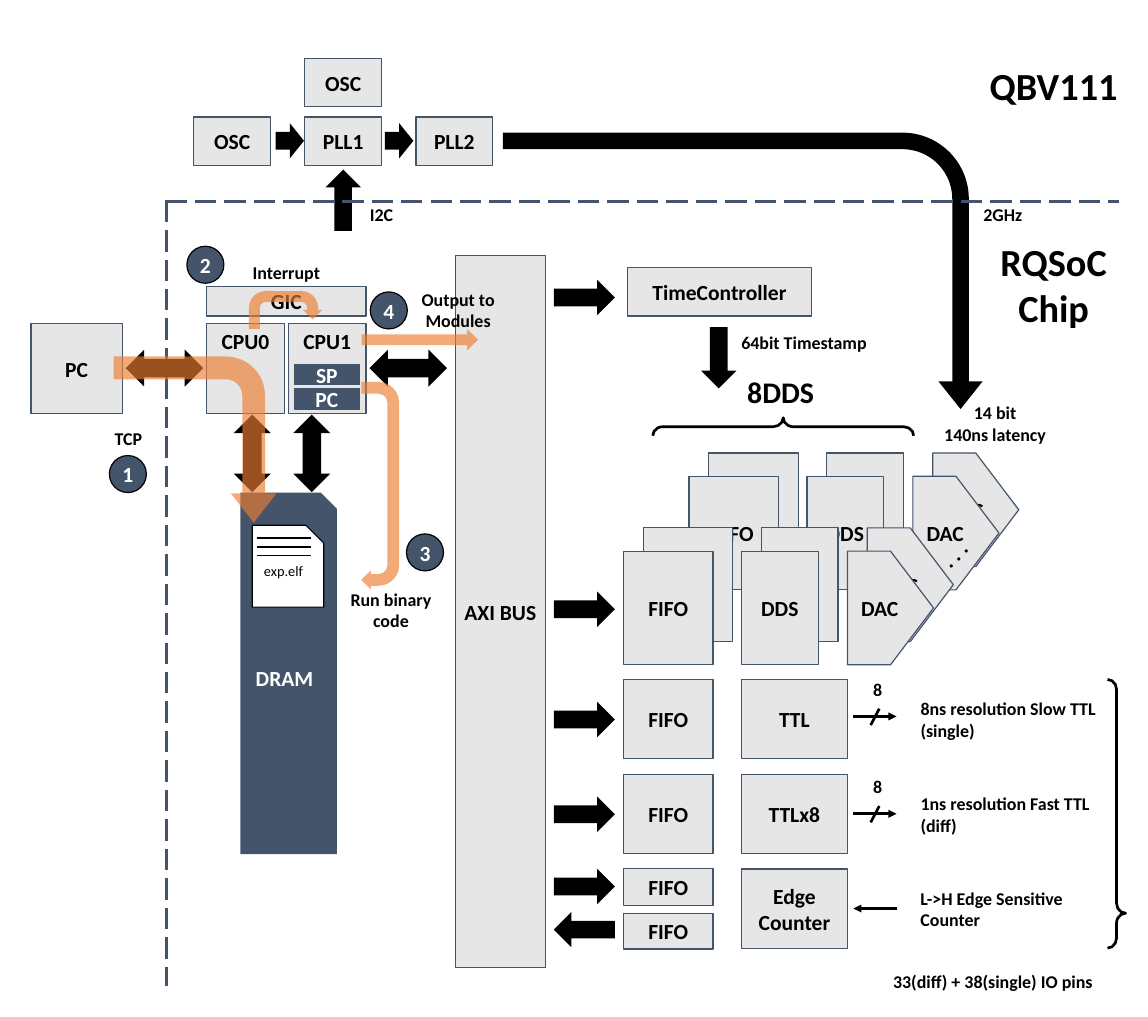
from dataclasses import dataclass
from typing import Optional

from pptx import Presentation, util as u
from pptx.dml.color import RGBColor
from pptx.enum import dml, shapes, text
from pptx.oxml import ns, parse_xml

G = shapes.MSO_SHAPE
ALIGN = text.PP_ALIGN
ANCHOR = text.MSO_ANCHOR


@dataclass(frozen=True)
class Theme:
    font: str = "Calibri"
    ink: str = "000000"
    paper: str = "FFFFFF"
    pale: str = "E7E6E6"
    navy: str = "44546A"
    flow: str = "ED7D31"
    flow_alpha: int = 65000
    file: float = 12
    note: float = 15
    block: float = 18
    heading: float = 25
    title: float = 32
    outline: float = 1
    rule: float = 1.25
    stroke: float = 2.25


THEME = Theme()


@dataclass(frozen=True)
class Block:
    x: float
    y: float
    w: float
    h: float
    label: str = ""
    kind: G = G.RECTANGLE
    fill: Optional[str] = THEME.pale
    line: Optional[str] = THEME.navy
    weight: float = THEME.outline
    color: str = THEME.ink
    size: float = THEME.block
    bold: bool = True
    anchor: ANCHOR = ANCHOR.MIDDLE
    adj: tuple[float, ...] = ()
    turn: float = 0
    see_through: bool = False


@dataclass(frozen=True)
class Note:
    x: float
    y: float
    w: float
    h: float
    label: str
    align: ALIGN = ALIGN.CENTER
    size: float = THEME.note
    turn: float = 0
    anchor: ANCHOR = ANCHOR.MIDDLE


@dataclass(frozen=True)
class Wire:
    x1: float
    y1: float
    x2: float
    y2: float
    color: str = THEME.ink
    weight: float = THEME.stroke
    dashed: bool = False
    arrow: bool = False


def write(frame, label: str, size: float, color: str, align: ALIGN, anchor: ANCHOR, bold: bool = True) -> None:
    frame.text = label
    frame.word_wrap = True
    frame.vertical_anchor = anchor
    for paragraph in frame.paragraphs:
        paragraph.alignment = align
        for run in paragraph.runs:
            run.font.name, run.font.size, run.font.bold = THEME.font, u.Pt(size), bold
            run.font.color.rgb = RGBColor.from_string(color)


def place(shape, part) -> None:
    shape.left, shape.top, shape.width, shape.height = map(u.Inches, (part.x, part.y, part.w, part.h))
    shape.rotation = part.turn


def draw_block(canvas, block: Block) -> None:
    shape = canvas.add_shape(block.kind, 0, 0, 0, 0)
    place(shape, block)
    shape.shadow.inherit = False
    for index, value in enumerate(block.adj):
        shape.adjustments[index] = value
    if block.fill:
        shape.fill.solid()
        shape.fill.fore_color.rgb = RGBColor.from_string(block.fill)
    else:
        shape.fill.background()
    if block.see_through:
        tint = shape._element.spPr.find(".//" + ns.qn("a:srgbClr"))
        tint.append(parse_xml(f'<a:alpha {ns.nsdecls("a")} val="{THEME.flow_alpha}"/>'))
    if block.line:
        shape.line.color.rgb = RGBColor.from_string(block.line)
        shape.line.width = u.Pt(block.weight)
    else:
        shape.line.fill.background()
    if block.label:
        shape.text_frame.margin_left = shape.text_frame.margin_right = u.Inches(0)
        write(shape.text_frame, block.label, block.size, block.color, ALIGN.CENTER, block.anchor, block.bold)


def draw_note(canvas, note: Note) -> None:
    box = canvas.add_textbox(0, 0, 0, 0)
    place(box, note)
    write(box.text_frame, note.label, note.size, THEME.ink, note.align, note.anchor)


def draw_wire(canvas, wire: Wire) -> None:
    ends = map(u.Inches, (wire.x1, wire.y1, wire.x2, wire.y2))
    connector = canvas.add_connector(shapes.MSO_CONNECTOR.STRAIGHT, *ends)
    connector.line.color.rgb = RGBColor.from_string(wire.color)
    connector.line.width = u.Pt(wire.weight)
    if wire.dashed:
        connector.line.dash_style = dml.MSO_LINE.LONG_DASH
    properties = connector._element.spPr
    if wire.arrow:
        outline = properties.find(ns.qn("a:ln"))
        outline.append(parse_xml(f'<a:tailEnd {ns.nsdecls("a")} type="triangle"/>'))
    properties.append(parse_xml(f'<a:effectLst {ns.nsdecls("a")}/>'))


def draw(canvas, parts: list) -> None:
    painters = {Block: draw_block, Note: draw_note, Wire: draw_wire}
    for part in parts:
        painters[type(part)](canvas, part)


def arrow(x: float, y: float, w: float = 0.71, h: float = 0.41, turn: float = 0, kind: G = G.RIGHT_ARROW,
          adj: tuple[float, ...] = ()) -> Block:
    return Block(x, y, w, h, kind=kind, fill=THEME.ink, line=None, turn=turn, adj=adj)


def link(x: float, y: float, turn: float = 0) -> Block:
    return arrow(x, y, 0.9, 0.43, turn, G.LEFT_RIGHT_ARROW)


def flow(x: float, y: float, w: float, h: float, kind: G, adj: tuple[float, ...] = (), turn: float = 0) -> Block:
    return Block(x, y, w, h, kind=kind, fill=THEME.flow, line=None, adj=adj, turn=turn, see_through=True)


def step(number: int, x: float, y: float) -> Block:
    return Block(x, y, 0.43, 0.43, str(number), G.OVAL, THEME.navy, THEME.ink, color=THEME.paper)


def brace(x: float, y: float, h: float, middle: float, turn: float = 0) -> Block:
    return Block(x, y, 0.21, h, kind=G.RIGHT_BRACE, fill=None, line=THEME.ink, weight=THEME.stroke,
                 adj=(0.55, middle), turn=turn)


def register(label: str, y: float) -> Block:
    return Block(3.42, y, 0.75, 0.24, label, fill=THEME.navy, color=THEME.paper)


def channel_stack(x: float, w: float, labels: tuple[str, ...], kind: G = G.RECTANGLE) -> list[Block]:
    layers = ((0.99, -1.14), (0.76, -0.87), (0.23, -0.27), (0, 0))
    return [Block(x + dx, 6.4 + dy, w, 1.32, label, kind) for (dx, dy), label in zip(layers, labels)]


def ttl_row(y: float, label: str, note: str, wire_y: float) -> list:
    return [
        Block(7.24, y, 1.04, 0.92, "FIFO"),
        Block(8.61, y, 1.23, 0.92, label),
        arrow(6.43, y + 0.26),
        Note(10.59, y + 0.19, 2.82, 0.55, note, ALIGN.LEFT),
        Wire(10.11, wire_y + 0.1, 10.21, wire_y - 0.09),
        Note(10.04, wire_y - 0.48, 0.22, 0.32, "8"),
        Wire(9.91, wire_y, 10.41, wire_y, arrow=True),
    ]


def main() -> None:
    deck = Presentation()
    deck.slide_width, deck.slide_height = u.Inches(13.33), u.Inches(11.81)
    slide = deck.slides.add_slide(deck.slide_layouts[5])
    canvas = slide.shapes
    board = Note(11.06, 0.62, 2.35, 0.74, "QBV111", size=THEME.title)
    place(canvas.title, board)
    write(canvas.title.text_frame, board.label, board.size, THEME.ink, board.align, board.anchor)
    canvas.title.text_frame.auto_size = text.MSO_AUTO_SIZE.NONE

    draw(canvas, [
        *channel_stack(7.24, 1.04, ("", "FIFO", "", "FIFO")),
        *channel_stack(8.61, 0.89, ("DDS",) * 4),
        *channel_stack(9.84, 1, ("DAC",) * 4, G.PENTAGON),
        Note(10.81, 6.21, 0.58, 0.4, ". . .", ALIGN.LEFT, THEME.block, 315, ANCHOR.TOP),
        brace(8.99, 3.44, 3.03, 0.5, 270),
        Note(8, 4.31, 2.13, 0.48, "8DDS", size=THEME.heading),
        Block(5.29, 2.97, 1.04, 8.27, "AXI BUS"),
        Block(7.29, 3.11, 2.13, 0.56, "TimeController"),
        arrow(6.43, 3.25), arrow(6.43, 6.87), arrow(7.99, 3.95, turn=90),
        Note(8.51, 3.82, 1.94, 0.32, "64bit Timestamp", ALIGN.LEFT),
        Note(10.61, 4.65, 1.89, 0.53, "14 bit\n140ns latency"),
        *ttl_row(7.89, "TTL", "8ns resolution Slow TTL\n(single)", 8.32),
        *ttl_row(8.99, "TTLx8", "1ns resolution Fast TTL\n(diff)", 9.45),
        Block(7.24, 10.09, 1.04, 0.43, "FIFO"), Block(7.24, 10.61, 1.04, 0.41, "FIFO"),
        Block(8.61, 10.09, 1.23, 0.92, "Edge\nCounter"),
        arrow(6.43, 10.09), arrow(6.43, 10.59, turn=180),
        Wire(10.42, 10.55, 9.91, 10.55, arrow=True),
        Note(10.59, 10.28, 2.57, 0.55, "L->H Edge Sensitive Counter", ALIGN.LEFT),
        brace(12.86, 7.89, 3.12, 0.87),
        Note(10.17, 11.24, 2.72, 0.32, "33(diff) + 38(single) IO pins"),
        Block(2.4, 3.76, 0.9, 1.04, "CPU0", anchor=ANCHOR.TOP),
        Block(3.35, 3.76, 0.9, 1.04, "CPU1", anchor=ANCHOR.TOP),
        Block(2.4, 3.33, 1.85, 0.34, "GIC"),
        Block(0.36, 3.76, 1.06, 1.04, "PC"),
        Block(2.79, 5.72, 1.12, 4.2, "DRAM", G.SNIP_1_RECTANGLE, THEME.navy, None, color=THEME.paper),
        Wire(1.93, 2.33, 1.93, 11.45, THEME.navy, dashed=True),
        link(1.46, 4.06), link(4.29, 4.06), link(2.48, 5.05, 90), link(3.17, 5.05, 90),
        Note(1.18, 4.93, 0.62, 0.32, "TCP"),
    ])
    draw(canvas.add_group_shape().shapes, [
        Block(2.93, 6.1, 0.83, 0.95, "exp.elf", G.SNIP_1_RECTANGLE, THEME.paper, THEME.ink,
              size=THEME.file, bold=False, adj=(0.25,)),
        *(Wire(2.98, y, 3.61, y, weight=THEME.rule) for y in (6.25, 6.35, 6.45)),
    ])
    draw(canvas, [
        flow(1.3, 4.16, 1.93, 1.89, G.BENT_ARROW, (0.14, 0.14, 0.18, 0.24), 90),
        flow(2.89, 3.38, 0.85, 0.44, G.U_TURN_ARROW, (0.29, 0.25, 0.25, 0.44, 0.75)),
        Note(2.74, 3, 1.17, 0.32, "Interrupt"),
        register("PC", 4.51), register("SP", 4.23),
        flow(3.21, 5.42, 2.41, 0.44, G.U_TURN_ARROW, (0.31, 0.25, 0.25, 0.55, 1), 90),
        Note(3.79, 6.71, 1.5, 0.74, "Run binary code"),
        flow(4.2, 3.82, 1.35, 0.25, G.RIGHT_ARROW),
        Note(4.57, 3.23, 1.5, 0.74, "Output to Modules"),
        step(1, 1.27, 5.29), step(2, 2.17, 2.86), step(3, 4.72, 6.2), step(4, 4.3, 3.39),
        *(Block(2.25 + 1.29 * i, 1.36, 0.89, 0.56, label) for i, label in enumerate(("OSC", "PLL1", "PLL2"))),
        Block(3.54, 0.68, 0.89, 0.56, "OSC"),
        arrow(3.2, 1.43, 0.33), arrow(4.47, 1.43, 0.33),
        arrow(7.02, 0.36, 3.21, 5.57, 90, G.BENT_ARROW, (0.06, 0.08, 0.1, 0.24)),
        Note(11.32, 2.33, 0.71, 0.32, "2GHz", ALIGN.LEFT),
        arrow(3.63, 2.12, turn=270),
        Note(4.14, 2.33, 0.58, 0.32, "I2C"),
        Wire(1.92, 2.34, 12.99, 2.34, THEME.navy, dashed=True),
        Note(11.06, 2.76, 2.35, 1.09, "RQSoC\nChip", size=THEME.title),
    ])
    deck.save("out.pptx")


if __name__ == "__main__":
    main()
